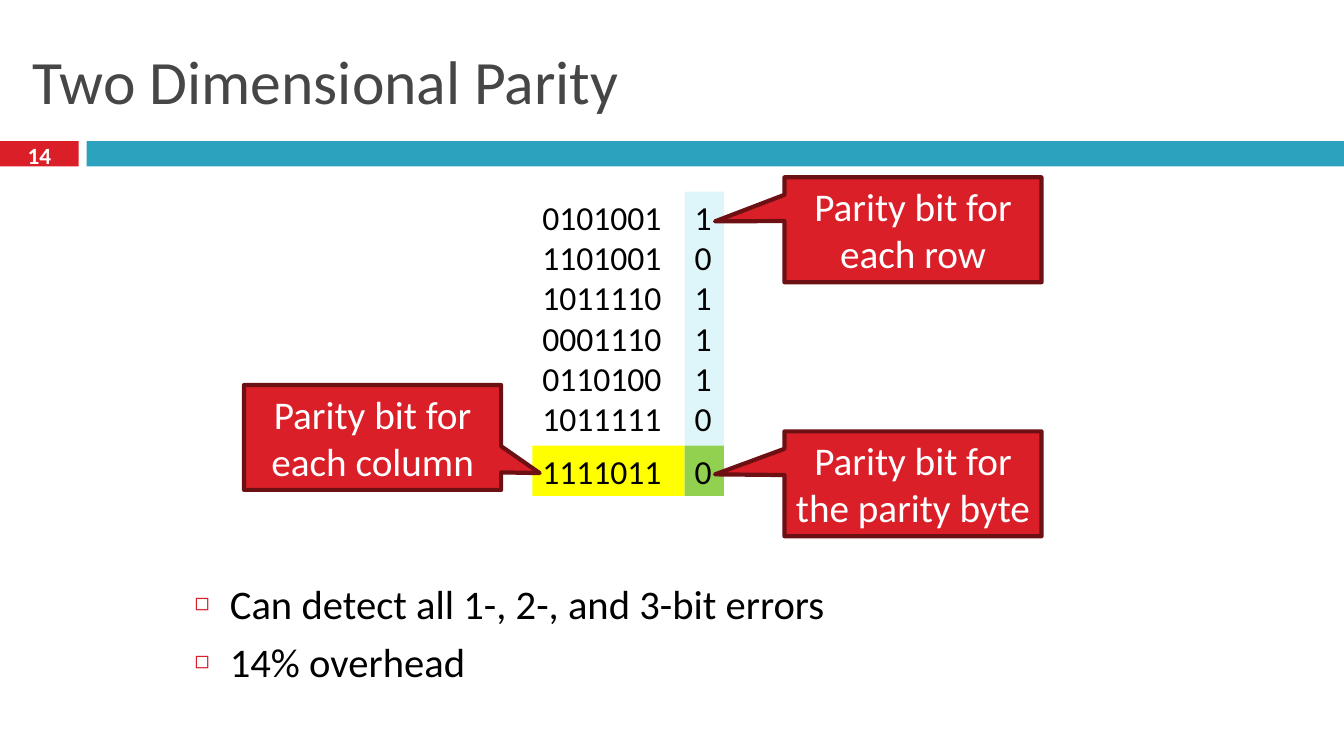
from dataclasses import dataclass

from lxml import etree
from pptx import Presentation
from pptx.dml.color import RGBColor
from pptx.enum import shapes, text
from pptx.oxml import ns
from pptx.util import Inches, Pt


@dataclass(frozen=True)
class Theme:
    """Colours, type sizes and font of the slide."""
    font: str = "Calibri"
    red: str = "DA1F28"
    edge: str = "6D1014"
    teal: str = "2DA2BF"
    grey: str = "464646"
    black: str = "000000"
    white: str = "FFFFFF"
    pale: str = "DEF5FA"
    yellow: str = "FFFF00"
    green: str = "92D050"
    title: float = 44
    body: float = 29
    note: float = 28
    bits: float = 24
    page: float = 16.6


@dataclass(frozen=True)
class Box:
    """Place of an element in inches."""
    left: float
    top: float
    width: float
    height: float

    def emu(self) -> tuple:
        """Return the place as lengths."""
        return tuple(map(Inches, (self.left, self.top, self.width, self.height)))


@dataclass(frozen=True)
class Cell:
    """Block of bits, one row a line."""
    box: Box
    rows: tuple
    fill: str | None = None


@dataclass(frozen=True)
class Note:
    """Callout with its tip relative to its centre."""
    left: float
    top: float
    words: str
    tip: tuple


THEME = Theme()
LEFT, SPLIT, TOP, SUM = 5.28, 6.79, 1.9, 4.42
WIDE, SLIM, TALL, LOW = 1.51, 0.39, 2.52, 0.5
DATA = ("0101001", "1101001", "1011110", "0001110", "0110100", "1011111")

CELLS = (
    Cell(Box(LEFT, TOP, WIDE, TALL), DATA),
    Cell(Box(SPLIT, TOP, SLIM, TALL), tuple("101110"), THEME.pale),
    Cell(Box(LEFT, SUM, WIDE, LOW), ("1111011",), THEME.yellow),
    Cell(Box(SPLIT, SUM, SLIM, LOW), ("0",), THEME.green),
)
NOTES = (
    Note(7.78, 1.76, "Parity bit for each row", (-0.77, -0.08)),
    Note(2.42, 3.82, "Parity bit for each column", (0.65, 0.34)),
    Note(7.78, 4.28, "Parity bit for the parity byte", (-0.77, -0.09)),
)


def write(frame, lines: tuple, size: float, color: str,
          align=text.PP_ALIGN.LEFT, anchor=text.MSO_ANCHOR.TOP) -> None:
    """Fill a text frame with one paragraph a line."""
    frame.auto_size = text.MSO_AUTO_SIZE.NONE
    frame.word_wrap = True
    frame.vertical_anchor = anchor
    for at, line in enumerate(lines):
        para = frame.paragraphs[0] if at == 0 else frame.add_paragraph()
        para.text = line
        para.alignment = align
        para.font.name = THEME.font
        para.font.size = Pt(size)
        para.font.color.rgb = RGBColor.from_string(color)


def place(shape, box: Box) -> None:
    """Move and size a placeholder."""
    shape.left, shape.top, shape.width, shape.height = box.emu()


def block(slide, box: Box, fill: str, kind=shapes.MSO_SHAPE.RECTANGLE):
    """Add a filled shape without outline."""
    shape = slide.shapes.add_shape(kind, *box.emu())
    shape.shadow.inherit = False
    shape.fill.solid()
    shape.fill.fore_color.rgb = RGBColor.from_string(fill)
    shape.line.fill.background()
    return shape


def bullet(para) -> None:
    """Give a paragraph a small red hollow square."""
    para.space_before = Pt(7)
    props = para._p.get_or_add_pPr()
    props.set("marL", str(Inches(0.35)))
    props.set("indent", str(-Inches(0.35)))
    color = etree.SubElement(props, ns.qn("a:buClr"))
    etree.SubElement(color, ns.qn("a:srgbClr"), val=THEME.red)
    etree.SubElement(props, ns.qn("a:buSzPct"), val="60000")
    etree.SubElement(props, ns.qn("a:buFont"), typeface=THEME.font)
    etree.SubElement(props, ns.qn("a:buChar"), char="◻")
    font = props.find(ns.qn("a:defRPr"))
    if font is not None:
        props.append(font)


def head(slide) -> None:
    """Draw the title, the bars and the page number."""
    block(slide, Box(0, 1.4, 0.78, 0.25), THEME.red)
    block(slide, Box(0.86, 1.4, 12.47, 0.25), THEME.teal)
    title = slide.shapes.title
    place(title, Box(0.22, 0.25, 12.89, 1.08))
    write(title.text_frame, ("Two Dimensional Parity",), THEME.title,
          THEME.grey, anchor=text.MSO_ANCHOR.MIDDLE)
    page = slide.shapes.add_textbox(*Box(0, 1.37, 0.78, 0.33).emu())
    write(page.text_frame, ("14",), THEME.page, THEME.white,
          text.PP_ALIGN.CENTER, text.MSO_ANCHOR.MIDDLE)
    page.text_frame.paragraphs[0].font.bold = True


def points(slide) -> None:
    """Write the bullet list."""
    body = slide.placeholders[1]
    place(body, Box(1.83, 5.69, 9.67, 1.65))
    lines = ("Can detect all 1-, 2-, and 3-bit errors", "14% overhead")
    write(body.text_frame, lines, THEME.body, THEME.black)
    for para in body.text_frame.paragraphs:
        bullet(para)


def bits(slide, cell: Cell) -> None:
    """Draw one block of bits."""
    if cell.fill:
        shape = block(slide, cell.box, cell.fill)
    else:
        shape = slide.shapes.add_textbox(*cell.box.emu())
    write(shape.text_frame, cell.rows, THEME.bits, THEME.black)


def callout(slide, note: Note) -> None:
    """Draw one red callout."""
    shape = block(slide, Box(note.left, note.top, 2.55, 1.04), THEME.red,
                  shapes.MSO_SHAPE.RECTANGULAR_CALLOUT)
    shape.line.color.rgb = RGBColor.from_string(THEME.edge)
    shape.line.width = Pt(3)
    shape.adjustments[0], shape.adjustments[1] = note.tip
    write(shape.text_frame, (note.words,), THEME.note, THEME.white,
          text.PP_ALIGN.CENTER)


def main() -> None:
    """Build and save the slide."""
    deck = Presentation()
    deck.slide_width, deck.slide_height = Inches(13.33), Inches(7.5)
    slide = deck.slides.add_slide(deck.slide_layouts[1])
    head(slide)
    points(slide)
    for cell in CELLS:
        bits(slide, cell)
    for note in NOTES:
        callout(slide, note)
    deck.save("out.pptx")


if __name__ == "__main__":
    main()
